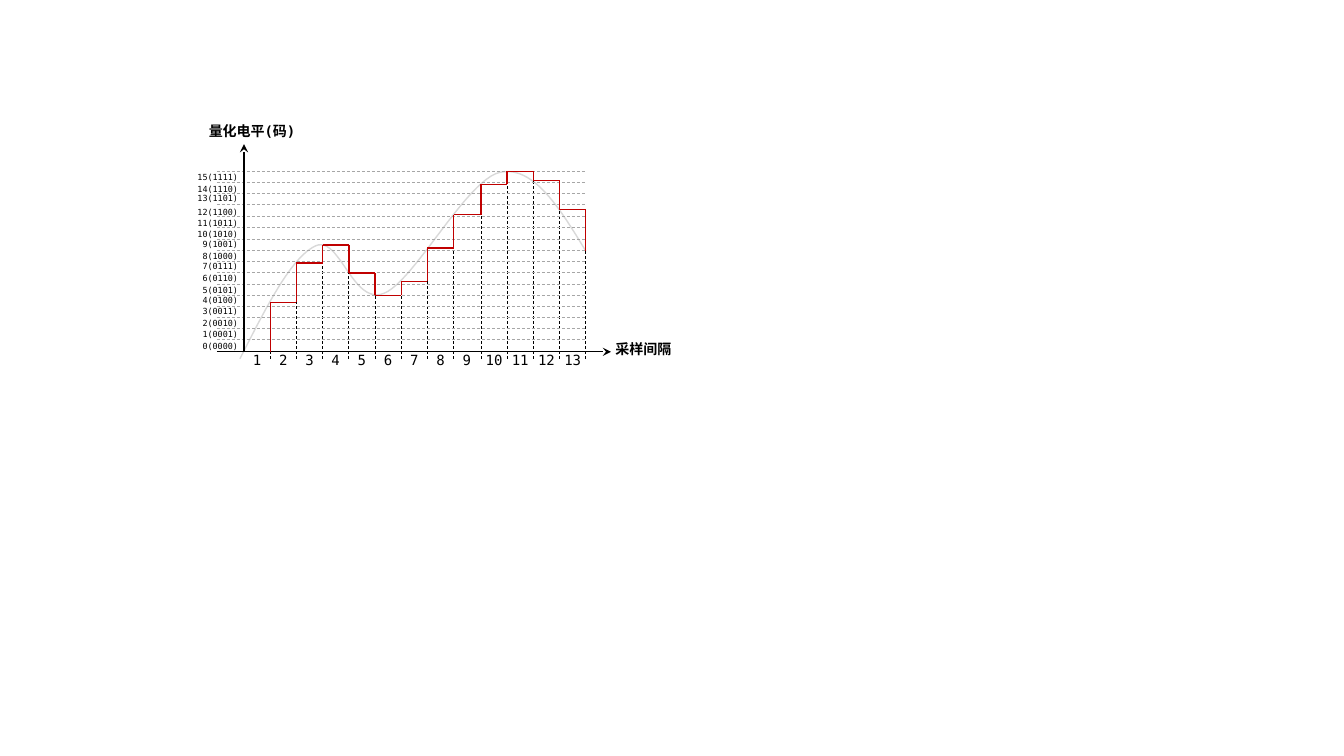
from lxml.etree import SubElement
from pptx import Presentation
from pptx.dml.color import RGBColor
from pptx.enum.dml import MSO_LINE
from pptx.enum.shapes import MSO_CONNECTOR
from pptx.enum.text import MSO_ANCHOR, PP_ALIGN
from pptx.oxml.ns import qn
from pptx.util import Pt

PX = 9144
FONT = "DejaVu Sans Mono"
BLACK = RGBColor(0x00, 0x00, 0x00)
RED = RGBColor(0xC0, 0x00, 0x00)
GREY = RGBColor(0xA6, 0xA6, 0xA6)
PALE = RGBColor(0xD9, 0xD9, 0xD9)


def draw(host, ax, ay, bx, by, color, width, dash=False, arrow=False):
    wire = host.add_connector(MSO_CONNECTOR.STRAIGHT, ax * PX, ay * PX, bx * PX, by * PX)
    wire.line.color.rgb = color
    wire.line.width = Pt(width)
    if dash:
        wire.line.dash_style = MSO_LINE.DASH
    if arrow:
        SubElement(wire.line._get_or_add_ln(), qn("a:tailEnd"), type="stealth")
    SubElement(wire._element.spPr, qn("a:effectLst"))


def write(host, x, y, w, h, words, size, bold=False, align=PP_ALIGN.CENTER, inset=0):
    frame = host.add_textbox(x * PX, y * PX, w * PX, h * PX).text_frame
    frame.word_wrap = True
    frame.vertical_anchor = MSO_ANCHOR.MIDDLE
    frame.margin_left = 0
    frame.margin_right = inset * PX
    frame.margin_top = frame.margin_bottom = 5 * PX
    para = frame.paragraphs[0]
    para.alignment = align
    run = para.add_run()
    run.text = words
    run.font.name = FONT
    run.font.size = Pt(size)
    run.font.bold = bold
    run.font.color.rgb = BLACK


deck = Presentation()
deck.slide_width = 1333 * PX
deck.slide_height = 750 * PX
shapes = deck.slides.add_slide(deck.slide_layouts[6]).shapes

start = (238, 356)
arcs = [
    ((264, 305), (289, 255), (313, 244)),
    ((337, 233), (350, 304), (381, 291)),
    ((411, 279), (463, 178), (496, 171)),
    ((529, 164), (555, 206), (581, 249)),
]
curve = shapes.build_freeform(start[0] * PX, start[1] * PX)
points = []
last = start
for one, two, end in arcs:
    for step in range(1, 25):
        t = step / 24
        u = 1 - t
        points.append([
            PX * (u**3 * a + 3 * u * u * t * b + 3 * u * t * t * c + t**3 * d)
            for a, b, c, d in zip(last, one, two, end)
        ])
    last = end
curve.add_line_segments(points, close=False)
wave = curve.convert_to_shape()
wave.shadow.inherit = False
wave.fill.background()
wave.line.color.rgb = PALE
wave.line.width = Pt(1)

base = 349
levels = [base, 300, 261, 243, 271, 293, 279, 246, 213, 183, 170, 179, 208, 249]
edges = [268 + round(26.07 * n) for n in range(-1, 13)]

for x, before, after in zip(edges[1:], levels, levels[1:]):
    draw(shapes, x, 356, x, max(before, after), BLACK, 0.5, dash=True)

for row in range(16):
    y = 170 + round(11.16 * row)
    draw(shapes, 215, y, 581, y, GREY, 0.5, dash=True)

ticks = shapes.add_group_shape().shapes
for n, x in enumerate(edges[:-1], 1):
    write(ticks, x, 349, 26, 17, str(n), 10)

draw(shapes, 242, base, 242, 143, BLACK, 1, arrow=True)
draw(shapes, 215, base, 606, base, BLACK, 1, arrow=True)

stairs = shapes.add_group_shape().shapes
for x, before, after in zip(edges[1:], levels, levels[1:]):
    draw(stairs, x, before, x, after, RED, 1)
for left, right, y in zip(edges[1:], edges[2:], levels[1:]):
    draw(stairs, left, y, right, y, RED, 1)

write(shapes, 602, 338, 72, 17, "采样间隔", 10, bold=True)
write(shapes, 206, 121, 88, 17, "量化电平(码)", 10, bold=True)

tops = [338, 327, 316, 304, 293, 283, 271, 259, 249, 237, 227, 216, 205, 192, 183, 171]
for n, y in enumerate(tops):
    write(shapes, 191, y, 50, 10, f"{n}({n:04b})", 6, align=PP_ALIGN.RIGHT, inset=5)

deck.save("out.pptx")
